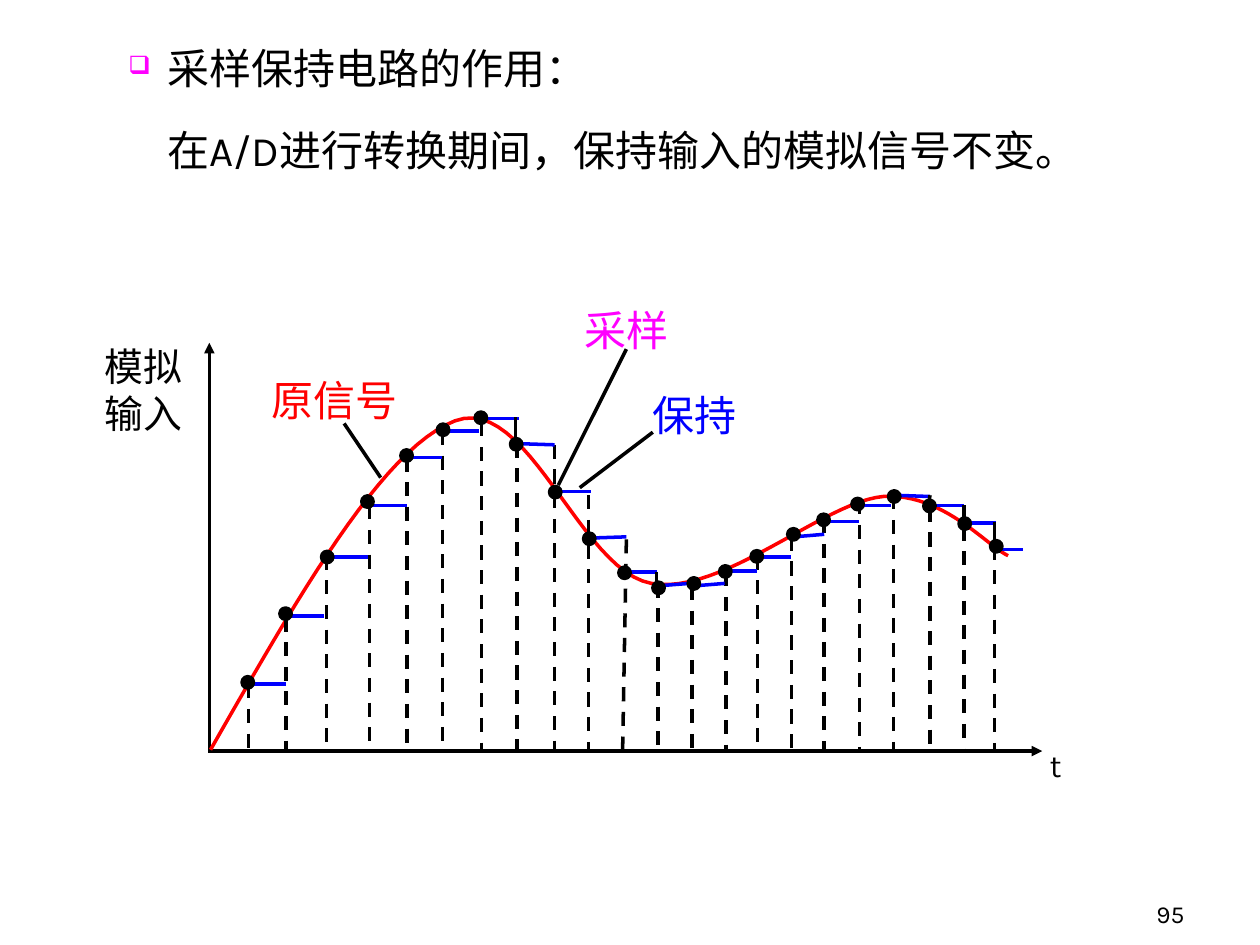
from dataclasses import dataclass

import lxml.etree
import pptx
import pptx.dml.color
import pptx.enum.dml
import pptx.enum.shapes
import pptx.enum.text
import pptx.oxml.ns
import pptx.util

Cm = pptx.util.Cm
Pt = pptx.util.Pt
Align = pptx.enum.text.PP_ALIGN


@dataclass(frozen=True)
class Theme:
    font: str = "Karla"
    ink: str = "000000"
    signal: str = "FF0000"
    hold: str = "0000FF"
    sample: str = "FF00FF"
    body_size: float = 24
    axis_size: float = 22.2
    time_size: float = 18.2
    number_size: float = 14
    stroke: float = 2


THEME = Theme()
UNIT = 0.0254  # centimetres per plot unit
DOT = 9  # dot diameter in plot units

# Plot positions count right and up from the origin of the axes.
# dot x, dot y, stem x, stem top, foot x, hold start, hold end, hold y at start, at end
SAMPLES = [
    (30.5, 54.5, 31, 53, 31, 31, 61, 53, 53),
    (60.5, 109, 61, 106, 61, 59, 91, 107, 107),
    (93.5, 154, 93, 155, 93, 93, 126, 154, 154),
    (125.5, 198, 127, 195, 127, 125, 157, 195, 195),
    (156.5, 234.5, 157, 233, 157, 157, 185, 233, 233),
    (185.5, 255, 185, 254, 185, 185, 214, 254, 254),
    (215.5, 264.5, 216, 261, 216, 216, 246, 264, 264),
    (243.5, 243.5, 244, 244, 244, 244, 274, 244, 243),
    (274.5, 205.5, 274, 243, 274, 274, 303, 206, 206),
    (301.5, 168.5, 301, 203, 301, 302, 331, 169, 170),
    (329.5, 141.5, 331, 168, 328, 328, 355, 142, 142),
    (356.5, 129.5, 356, 133, 356, 355, 381, 131, 133),
    (384.5, 133, 383, 131, 383, 384, 409, 131, 133),
    (409.5, 142.5, 410, 142, 410, 410, 435, 143, 143),
    (434.5, 154.5, 435, 155, 435, 433, 462, 154, 154),
    (463.5, 172, 462, 170, 462, 464, 488, 170, 172),
    (487.5, 183.5, 488, 184, 488, 486, 516, 182, 182),
    (514.5, 196, 516, 199, 516, 516, 541, 195, 195),
    (543.5, 202, 543, 203, 543, 543, 572, 203, 202),
    (571.5, 194.5, 572, 193, 572, 572, 599, 195, 195),
    (599.5, 180.5, 599, 178, 599, 597, 624, 181, 181),
    (624.5, 162.5, 623, 163, 623, 624, 646, 160, 160),
]
# Bezier knots: start, then two control points and an end for each arc
SIGNAL = [(1, 1), (69, 120), (137, 240), (195, 262), (253, 284), (294, 143),
          (351, 133), (407, 123), (488, 198), (535, 202), (582, 205),
          (617, 163), (634, 155)]
# Solid drops between neighbouring hold levels
STEPS = [((243, 265), (243, 242)), ((355, 142), (355, 130)),
         ((599, 195), (599, 181)), ((572, 203), (570, 190)),
         ((623, 182), (623, 161))]
POINTERS = [((107, 260), (136, 217)), ((277, 211), (331, 319)),
            ((294, 209), (352, 253))]
# text, left, top, width, height, size, colour
LABELS = [
    ("t", 667, 4, 33, 33, THEME.time_size, THEME.ink),
    ("模拟\n输入", -83, 324, 73, 75, THEME.axis_size, THEME.ink),
    ("原信号", 49, 299, 113, 42, THEME.body_size, THEME.signal),
    ("采样", 298, 354, 70, 42, THEME.body_size, THEME.sample),
    ("保持", 352, 287, 70, 42, THEME.body_size, THEME.hold),
]


def rgb(colour):
    return pptx.dml.color.RGBColor.from_string(colour)


def add_element(parent, tag, **attributes):
    return lxml.etree.SubElement(parent, pptx.oxml.ns.qn(tag), attributes)


def add_text(page, box, text, size, colour, align, inset=True):
    """Add a wrapped text box; box is left, top, width, height in centimetres."""
    frame = page.shapes.add_textbox(*map(Cm, box)).text_frame
    frame.word_wrap = True
    if not inset:
        frame.margin_left = frame.margin_right = 0
        frame.margin_top = frame.margin_bottom = 0
    frame.text = text
    for para in frame.paragraphs:
        para.alignment = align
        for span in para.runs:
            span.font.name = THEME.font
            span.font.size = Pt(size)
            span.font.color.rgb = rgb(colour)
    return frame


def add_line(page, start, end, colour=THEME.ink, dashed=False, arrow=False):
    line = page.shapes.add_connector(
        pptx.enum.shapes.MSO_CONNECTOR.STRAIGHT, *start, *end)
    line.line.color.rgb = rgb(colour)
    line.line.width = Pt(THEME.stroke)
    if dashed:
        line.line.dash_style = pptx.enum.dml.MSO_LINE.DASH
    properties = line.element.spPr
    if arrow:
        add_element(properties.find(pptx.oxml.ns.qn("a:ln")), "a:tailEnd", type="triangle")
    add_element(properties, "a:effectLst")


def bezier_points(knots, steps=24):
    points = [knots[0]]
    for first in range(0, len(knots) - 1, 3):
        arc = knots[first:first + 4]
        for step in range(1, steps + 1):
            t = step / steps
            weights = ((1 - t) ** 3, 3 * t * (1 - t) ** 2, 3 * t * t * (1 - t), t ** 3)
            points.append(tuple(sum(w * knot[axis] for w, knot in zip(weights, arc))
                                for axis in (0, 1)))
    return points


def add_statement(page, box):
    frame = add_text(page, box, "采样保持电路的作用：\n在A/D进行转换期间，保持输入的模拟信号不变。",
                     THEME.body_size, THEME.ink, Align.LEFT)
    indent = Cm(0.78)
    heading, detail = frame.paragraphs
    for para in (heading, detail):
        para.line_spacing = 1.1
        para._p.get_or_add_pPr().set("marL", str(indent))
    # Hanging bullet on the heading
    properties = heading._p.get_or_add_pPr()
    properties.set("indent", str(-indent))
    add_element(add_element(properties, "a:buClr"), "a:srgbClr", val=THEME.sample)
    add_element(properties, "a:buSzPct", val="60000")
    add_element(properties, "a:buChar", char="❑")
    heading.space_after = Pt(15)


def add_plot(page, box):
    left, top, width, height = box

    def place(point):
        return Cm(left + point[0] * UNIT), Cm(top + height - point[1] * UNIT)

    # Axes
    add_line(page, place((-1, 0)), place((width / UNIT, 0)), arrow=True)
    add_line(page, place((0, 0)), place((0, height / UNIT)), arrow=True)

    # Input signal
    points = [place(point) for point in bezier_points(SIGNAL)]
    builder = page.shapes.build_freeform(*points[0])
    builder.add_line_segments(points[1:], close=False)
    curve = builder.convert_to_shape()
    curve.shadow.inherit = False
    curve.fill.background()
    curve.line.color.rgb = rgb(THEME.signal)
    curve.line.width = Pt(THEME.stroke)

    # Sampling stems, held levels and the steps between them
    for _, _, stem, stem_top, foot, *_ in SAMPLES:
        add_line(page, place((stem, stem_top)), place((foot, 0)), dashed=True)
    for *_, start, end, start_level, end_level in SAMPLES:
        add_line(page, place((start, start_level)), place((end, end_level)), THEME.hold)
    for start, end in STEPS + POINTERS:
        add_line(page, place(start), place(end))

    # Sample dots
    for x, y, *_ in SAMPLES:
        dot = page.shapes.add_shape(
            pptx.enum.shapes.MSO_SHAPE.OVAL, *place((x - DOT / 2, y + DOT / 2)),
            Cm(DOT * UNIT), Cm(DOT * UNIT))
        dot.shadow.inherit = False
        dot.fill.solid()
        dot.fill.fore_color.rgb = rgb(THEME.ink)
        dot.line.color.rgb = rgb(THEME.ink)
        dot.line.width = Pt(THEME.stroke)

    # Labels
    for text, x, y, label_width, label_height, size, colour in LABELS:
        label_box = (left + x * UNIT, top + height - y * UNIT,
                     label_width * UNIT, label_height * UNIT)
        add_text(page, label_box, text, size, colour, Align.JUSTIFY, inset=False)


def add_page_number(page, box):
    frame = add_text(page, box, "95", THEME.number_size, THEME.ink, Align.RIGHT)
    frame.vertical_anchor = pptx.enum.text.MSO_ANCHOR.BOTTOM


def main():
    deck = pptx.Presentation()
    deck.slide_width, deck.slide_height = Cm(25.4), Cm(19.05)
    page = deck.slides.add_slide(deck.slide_layouts.get_by_name("Blank"))
    add_page_number(page, (18.85, 17.58, 5.28, 1.27))
    add_statement(page, (2.34, 0.64, 21.39, 3.02))
    add_plot(page, (4.22, 6.91, 16.79, 8.23))
    deck.save("out.pptx")


if __name__ == "__main__":
    main()
